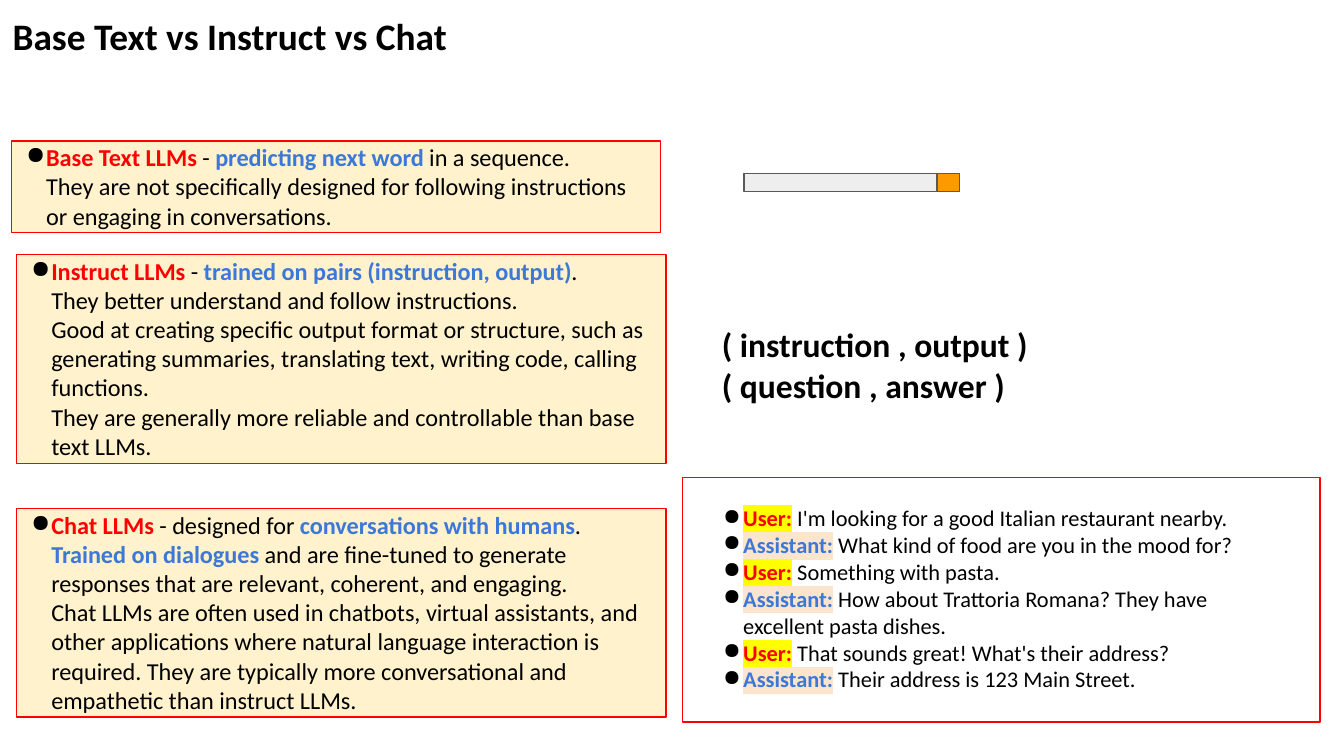
import copy

import pptx
import pptx.dml.color
import pptx.enum.shapes
import pptx.enum.text
import pptx.oxml
import pptx.oxml.ns
import pptx.util
from lxml import etree

Pt = pptx.util.Pt
COLORS = {
    "black": "000000",
    "red": "FF0000",
    "blue": "3C78D8",
    "cream": "FFF2CC",
    "yellow": "FFFF00",
    "peach": "FCE5CD",
    "light": "EEEEEE",
    "orange": "FF9900",
    "gray": "595959",
}


def rgb(name):
    return pptx.dml.color.RGBColor.from_string(COLORS[name])


def add_child(parent, tag, **attrs):
    return etree.SubElement(parent, pptx.oxml.ns.qn(tag), **attrs)


def add_text(p, text, size=13, color="black", bold=False, highlight=None, font="Calibri"):
    for i, line in enumerate(text.split("\n")):
        if i:
            p.add_line_break()
            p._p[-1].append(copy.deepcopy(r._r.rPr))
        r = p.add_run()
        r.text = line
        r.font.size = Pt(size)
        r.font.bold = bold
        r.font.name = font
        r.font.color.rgb = rgb(color)
        if highlight:
            fill = r._r.rPr.find(pptx.oxml.ns.qn("a:solidFill"))
            hl = add_child(r._r.rPr, "a:highlight")
            add_child(hl, "a:srgbClr", val=COLORS[highlight])
            fill.addnext(hl)


class Deck:
    def __init__(self, width, height):
        self.prs = pptx.Presentation()
        self.prs.slide_width, self.prs.slide_height = Pt(width), Pt(height)
        self.slide = self.prs.slides.add_slide(self.prs.slide_layouts[5])

    def frame(self, sp, inset=0.75):
        tf = sp.text_frame
        tf.word_wrap = True
        tf.auto_size = pptx.enum.text.MSO_AUTO_SIZE.NONE
        tf.vertical_anchor = pptx.enum.text.MSO_ANCHOR.TOP
        tf.margin_left = tf.margin_right = Pt(inset)
        tf.margin_top = tf.margin_bottom = Pt(inset)
        return tf

    def paragraphs(self, tf, items, size, bullet=False):
        for i, runs in enumerate(items):
            p = tf.add_paragraph() if i else tf.paragraphs[0]
            p.alignment = pptx.enum.text.PP_ALIGN.LEFT
            if bullet:
                pPr = p._p.get_or_add_pPr()
                pPr.set("marL", str(Pt(18)))
                pPr.set("indent", str(Pt(-10.8)))
                clr = add_child(pPr, "a:buClr")
                add_child(clr, "a:srgbClr", val=COLORS["black"])
                add_child(pPr, "a:buChar", char="●")
            for text, style in runs:
                add_text(p, text, size=size, **style)

    def title(self, text, left, top, width, height):
        sp = self.slide.shapes.title
        sp.left, sp.top, sp.width, sp.height = map(Pt, (left, top, width, height))
        self.paragraphs(self.frame(sp), [[(text, STRONG)]], 20)

    def text(self, items, left, top, width, height, size):
        sp = self.slide.shapes.add_textbox(*map(Pt, (left, top, width, height)))
        self.paragraphs(self.frame(sp), items, size)

    def box(self, left, top, width, height, fill=None, line="red"):
        sp = self.slide.shapes.add_shape(
            pptx.enum.shapes.MSO_SHAPE.RECTANGLE, *map(Pt, (left, top, width, height)))
        sp.shadow.inherit = False
        if fill:
            sp.fill.solid()
            sp.fill.fore_color.rgb = rgb(fill)
        else:
            sp.fill.background()
        sp.line.color.rgb = rgb(line)
        sp.line.width = Pt(0.75)
        return sp

    def bullet_box(self, items, left, top, width, height, size=13, fill="cream", inset=0.75):
        sp = self.box(left, top, width, height, fill)
        self.paragraphs(self.frame(sp, inset), items, size, bullet=True)


PLAIN = {}
STRONG = {"bold": True}
TERM = {"color": "red", "bold": True}
KEY = {"color": "blue", "bold": True}
SPEAKERS = {
    "User:": dict(TERM, highlight="yellow"),
    "Assistant:": dict(KEY, highlight="peach"),
}

BASE = [
    ("Base Text LLMs", TERM), (" - ", PLAIN), ("predicting next word", KEY),
    (" in a sequence.\nThey are not specifically designed for following instructions\n"
     "or engaging in conversations.", PLAIN),
]
INSTRUCT = [
    ("Instruct LLMs", TERM), (" - ", PLAIN),
    ("trained on pairs (instruction, output)", KEY),
    (".\nThey better understand and follow instructions.\n"
     "Good at creating specific output format or structure, such as generating "
     "summaries, translating text, writing code, calling functions.\n"
     "They are generally more reliable and controllable than base text LLMs.", PLAIN),
]
CHAT = [
    ("Chat LLMs", TERM), (" - designed for ", PLAIN),
    ("conversations with humans", KEY), (".\n", PLAIN), ("Trained on dialogues", KEY),
    (" and are fine-tuned to generate responses that are relevant, coherent, and engaging.\n"
     "Chat LLMs are often used in chatbots, virtual assistants, and other applications "
     "where natural language interaction is required. They are typically more "
     "conversational and empathetic than instruct LLMs.", PLAIN),
]
DIALOGUE = [
    ("User:", "I'm looking for a good Italian restaurant nearby."),
    ("Assistant:", "What kind of food are you in the mood for?"),
    ("User:", "Something with pasta."),
    ("Assistant:", "How about Trattoria Romana? They have excellent pasta dishes."),
    ("User:", "That sounds great! What's their address?"),
    ("Assistant:", "Their address is 123 Main Street."),
]


def main():
    deck = Deck(720, 405)
    deck.title("Base Text vs Instruct vs Chat", 6, 6.5, 314.5, 26)

    for runs, left, top, height in [
        (BASE, 6, 75.6, 49),
        (INSTRUCT, 8.75, 136.5, 111.75),
        (CHAT, 8.75, 272.5, 111.75),
    ]:
        deck.bullet_box([runs], left, top, 348, height)

    deck.box(398.5, 93, 103.5, 9.5, "light", "gray")
    deck.box(502, 93, 12, 9.5, "orange", "gray")

    pairs = ["( instruction , output )", "( question , answer )"]
    deck.text([[(pair, STRONG)] for pair in pairs], 386, 173, 178, 45.5, 18)

    turns = [[(who, SPEAKERS[who]), (" " + words, PLAIN)] for who, words in DIALOGUE]
    deck.bullet_box(turns, 365.75, 255.75, 341.5, 131, size=12, fill=None, inset=14.4)

    deck.prs.save("out.pptx")


if __name__ == "__main__":
    main()
